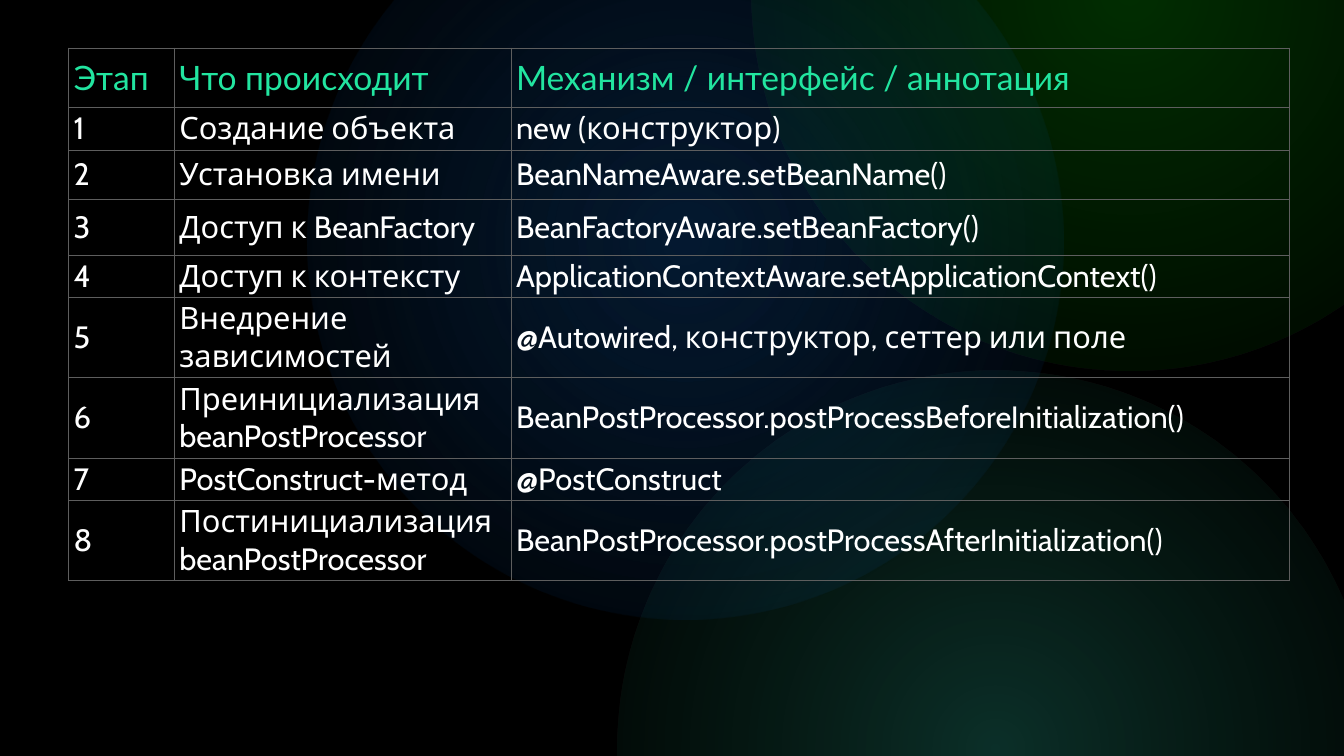
from typing import NamedTuple

from lxml import etree
from pptx import Presentation
from pptx import util as u
from pptx.dml.color import RGBColor
from pptx.enum import shapes, text
from pptx.oxml import parse_xml
from pptx.oxml.ns import nsdecls, qn

HUES = {
    "back": "000000", "text": "FFFFFF", "rule": "5E5E5E",
    "lime": "08BC08", "teal": "31C2A7", "moss": "209F6D", "blue": "1164C0",
    "green": "34E234", "mint": "22E5A0", "sky": "5AB0FF",
}


class Stop(NamedTuple):
    pos: int
    hue: str
    alpha: int = 100


class Glow(NamedTuple):
    left: float
    top: float
    start: Stop
    end: Stop


class Style(NamedTuple):
    font: str
    size: int
    stops: tuple[Stop, ...] = ()


GLOWS = (
    Glow(14.91, -7.64, Stop(0, "lime", 25), Stop(100, "lime", 0)),
    Glow(12.25, 7.36, Stop(0, "teal", 25), Stop(100, "moss", 0)),
    Glow(6.1, -2.7, Stop(1, "blue", 25), Stop(100, "blue", 0)),
)
GLOW_SIZE = 15

HEAD = Style("Lato", 48, (Stop(0, "green"), Stop(51, "mint"), Stop(100, "sky")))
BODY = Style("Cabin", 44)

TITLES = ("Этап", "Что происходит", "Механизм / интерфейс / аннотация")
STEPS = (
    ("Создание объекта", "new (конструктор)"),
    ("Установка имени", "BeanNameAware.setBeanName()"),
    ("Доступ к BeanFactory", "BeanFactoryAware.setBeanFactory()"),
    ("Доступ к контексту", "ApplicationContextAware.setApplicationContext()"),
    ("Внедрение зависимостей", "@Autowired, конструктор, сеттер или поле"),
    ("Преинициализация beanPostProcessor",
     "BeanPostProcessor.postProcessBeforeInitialization()"),
    ("PostConstruct-метод", "@PostConstruct"),
    ("Постинициализация beanPostProcessor",
     "BeanPostProcessor.postProcessAfterInitialization()"),
)
WIDTHS = (2.1, 6.68, 15.44)
HEIGHTS = (1.18, 0.85, 0.97, 1.11, 0.64, 1.08, 1.6, 0.56, 1.37)


def rgb(hue: str) -> RGBColor:
    return RGBColor.from_string(HUES[hue])


def blend(stops: tuple[Stop, ...], radial: bool = False):
    """Return a gradient fill element, radial or left to right."""
    marks = "".join(
        f'<a:gs pos="{s.pos * 1000}"><a:srgbClr val="{HUES[s.hue]}">'
        f'<a:alpha val="{s.alpha * 1000}"/></a:srgbClr></a:gs>' for s in stops)
    if radial:
        course = ('<a:path path="circle"><a:fillToRect l="50000" t="50000" '
                  'r="50000" b="50000"/></a:path>')
    else:
        course = '<a:lin ang="0" scaled="0"/>'
    return parse_xml(f'<a:gradFill {nsdecls("a")} rotWithShape="1">'
                     f'<a:gsLst>{marks}</a:gsLst>{course}</a:gradFill>')


def draw_glow(slide, glow: Glow) -> None:
    disc = slide.shapes.add_shape(
        shapes.MSO_SHAPE.OVAL, u.Inches(glow.left), u.Inches(glow.top),
        u.Inches(GLOW_SIZE), u.Inches(GLOW_SIZE))
    disc.rotation = 180
    disc.shadow.inherit = False
    disc.line.fill.background()
    geom = disc._element.spPr.find(qn("a:prstGeom"))
    geom.addnext(blend((glow.start, glow.end), radial=True))


def rule_cell(cell) -> None:
    props = cell._tc.get_or_add_tcPr()
    for side in ("lnL", "lnR", "lnT", "lnB"):
        line = etree.SubElement(props, qn(f"a:{side}"), w=str(u.Pt(1)))
        fill = etree.SubElement(line, qn("a:solidFill"))
        etree.SubElement(fill, qn("a:srgbClr"), val=HUES["rule"])


def fill_cell(cell, words: str, style: Style) -> None:
    rule_cell(cell)
    cell.fill.background()
    cell.vertical_anchor = text.MSO_ANCHOR.MIDDLE
    cell.text_frame.text = words
    run = cell.text_frame.paragraphs[0].runs[0]
    run.font.name = style.font
    run.font.size = u.Pt(style.size)
    if style.stops:
        run._r.get_or_add_rPr().insert(0, blend(style.stops))
    else:
        run.font.color.rgb = rgb("text")


def draw_table(slide) -> None:
    rows = [TITLES] + [(str(n), *step) for n, step in enumerate(STEPS, 1)]
    table = slide.shapes.add_table(
        len(rows), len(WIDTHS), u.Inches(1.36), u.Inches(0.95),
        u.Inches(sum(WIDTHS)), u.Inches(sum(HEIGHTS))).table
    table.first_row = False
    table.horz_banding = False
    for col, width in zip(table.columns, WIDTHS):
        col.width = u.Inches(width)
    for row, height, words in zip(table.rows, HEIGHTS, rows):
        row.height = u.Inches(height)
        for cell, word in zip(row.cells, words):
            fill_cell(cell, word, HEAD if words is TITLES else BODY)


def main() -> None:
    deck = Presentation()
    deck.slide_width = u.Inches(26.67)
    deck.slide_height = u.Inches(15)
    slide = deck.slides.add_slide(deck.slide_layouts[6])
    back = slide.background.fill
    back.solid()
    back.fore_color.rgb = rgb("back")
    for glow in GLOWS:
        draw_glow(slide, glow)
    draw_table(slide)
    deck.save("out.pptx")


if __name__ == "__main__":
    main()
